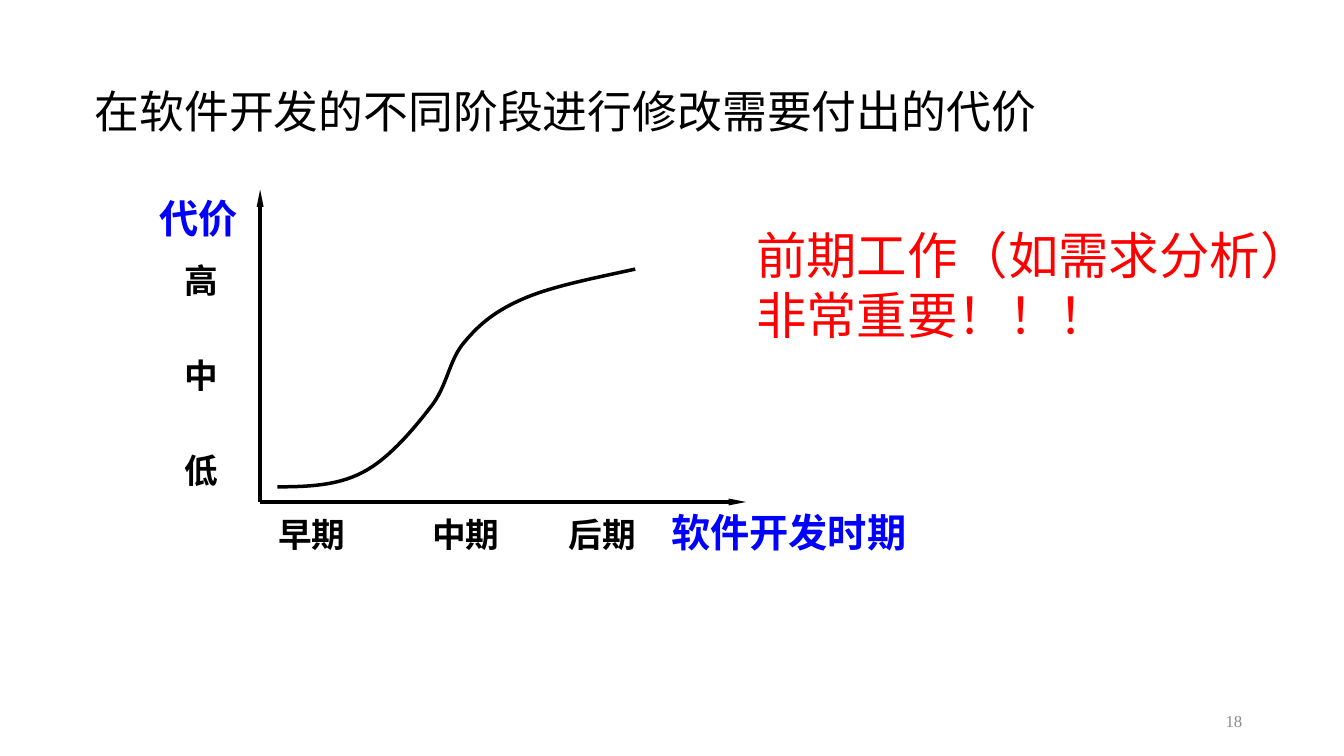
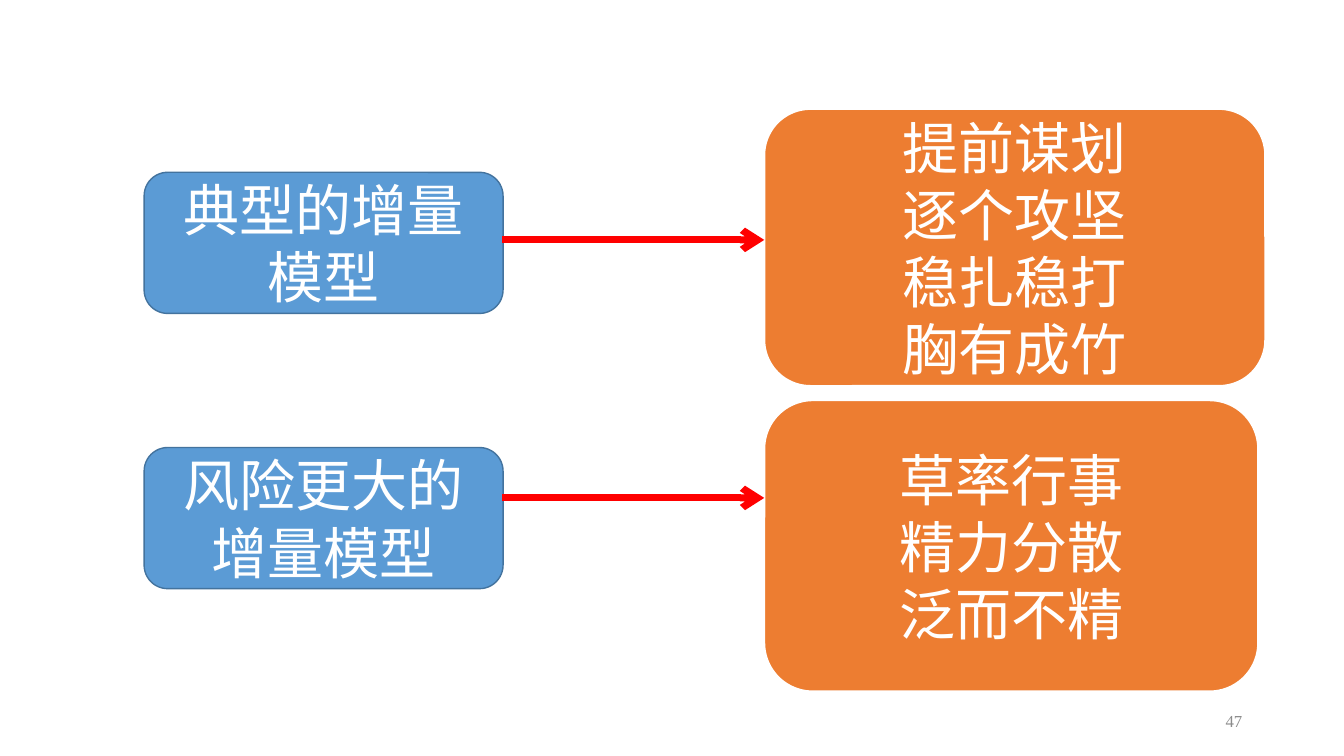
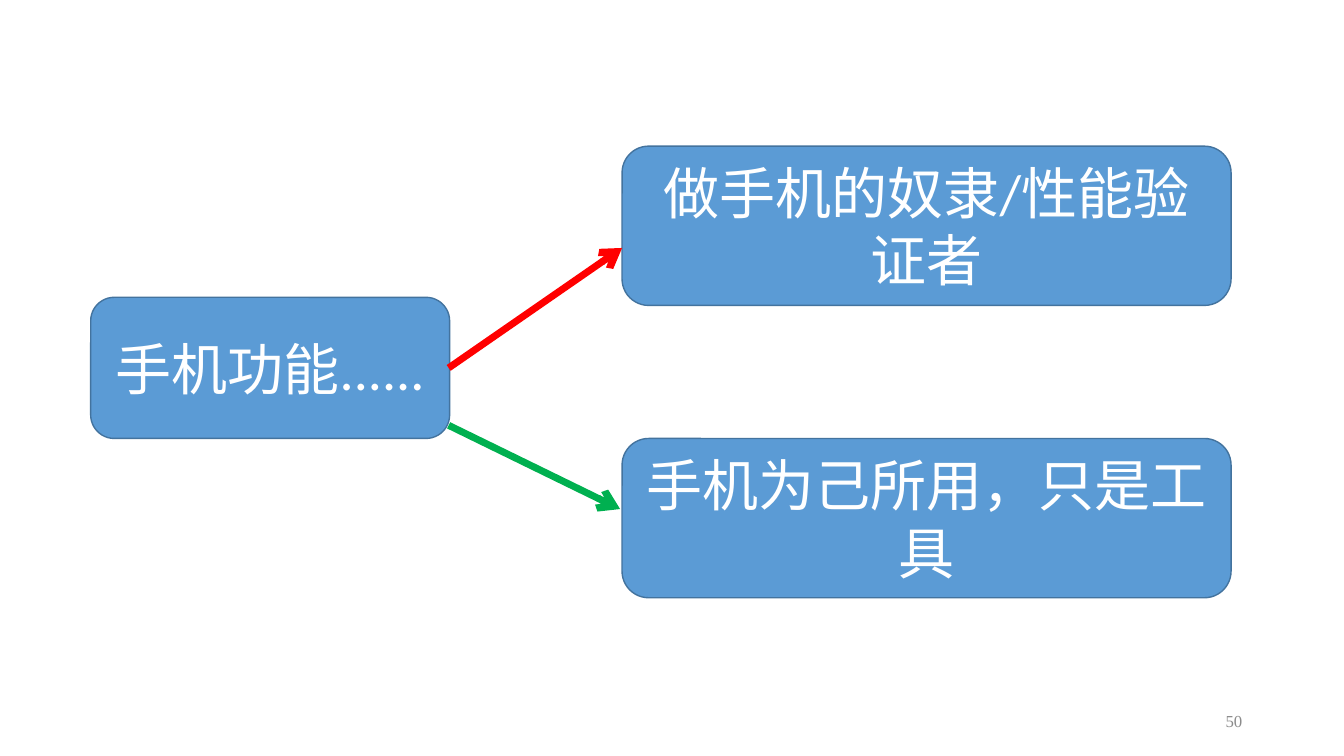
from dataclasses import dataclass

from lxml.etree import SubElement
from pptx import Presentation
from pptx.dml.color import RGBColor
from pptx.enum.shapes import MSO_CONNECTOR, MSO_SHAPE
from pptx.enum.text import MSO_ANCHOR, PP_ALIGN
from pptx.oxml.ns import qn
from pptx.util import Inches, Pt


@dataclass(frozen=True)
class Theme:
    black: str = "000000"
    white: str = "FFFFFF"
    gray: str = "8C8C8C"
    axis_blue: str = "0000FF"
    red: str = "FF0000"
    green: str = "00B050"
    box_blue: str = "5B9BD5"
    box_border: str = "43739E"
    orange: str = "ED7D31"
    serif: str = "Times New Roman"
    sans: str = "Calibri"
    number_size: float = 12
    tick_size: float = 24
    axis_size: float = 28
    title_size: float = 32
    callout_size: float = 36
    box_size: float = 40
    axis_width: float = 2.5
    arrow_width: float = 5


class Deck:
    def __init__(self, theme):
        self.theme = theme
        self.presentation = Presentation()
        self.presentation.slide_width = Inches(13.33)
        self.presentation.slide_height = Inches(7.5)
        self.slide = None

    def new_slide(self, number):
        self.slide = self.presentation.slides.add_slide(self.presentation.slide_layouts[6])
        theme = self.theme
        shape = self.text(str(number), (9.42, 6.95, 3, 0.4), theme.number_size, theme.gray,
                          align=PP_ALIGN.RIGHT)
        shape.text_frame.vertical_anchor = MSO_ANCHOR.MIDDLE

    def fill_text(self, shape, content, size, color, font, bold=False, align=PP_ALIGN.LEFT):
        shape.text_frame.word_wrap = True
        shape.text_frame.text = content
        for paragraph in shape.text_frame.paragraphs:
            paragraph.alignment = align
            for run in paragraph.runs:
                run.font.size = Pt(size)
                run.font.name = font
                run.font.bold = bold
                run.font.color.rgb = RGBColor.from_string(color)

    def text(self, content, area, size, color, font=None, bold=False, align=PP_ALIGN.LEFT):
        shape = self.slide.shapes.add_textbox(*map(Inches, area))
        self.fill_text(shape, content, size, color, font or self.theme.serif, bold, align)
        return shape

    def title(self, content):
        shape = self.text(content, (0.84, 0.84, 10.11, 0.97), self.theme.title_size,
                          self.theme.black)
        shape.text_frame.paragraphs[0].line_spacing = 0.9

    def box(self, content, area, fill, border, border_width=1):
        shape = self.slide.shapes.add_shape(MSO_SHAPE.ROUNDED_RECTANGLE, *map(Inches, area))
        shape.shadow.inherit = False
        shape.fill.solid()
        shape.fill.fore_color.rgb = RGBColor.from_string(fill)
        self.stroke(shape, border, border_width)
        self.fill_text(shape, content, self.theme.box_size, self.theme.white, self.theme.sans,
                       align=PP_ALIGN.CENTER)
        shape.text_frame.vertical_anchor = MSO_ANCHOR.MIDDLE

    def blue_box(self, content, area):
        self.box(content, area, self.theme.box_blue, self.theme.box_border)

    def orange_box(self, content, area):
        self.box(content, area, self.theme.orange, self.theme.white, 1.5)

    def stroke(self, shape, color, width):
        shape.line.color.rgb = RGBColor.from_string(color)
        shape.line.width = Pt(width)

    def line(self, start, end, color, width, **head):
        connector = self.slide.shapes.add_connector(
            MSO_CONNECTOR.STRAIGHT, *map(Inches, start + end))
        self.stroke(connector, color, width)
        properties = connector._element.spPr
        SubElement(properties.get_or_add_ln(), qn("a:tailEnd"), **head)
        SubElement(properties, qn("a:effectLst"))

    def axis(self, start, end):
        self.line(start, end, self.theme.black, self.theme.axis_width,
                  type="triangle", w="sm", len="lg")

    def arrow(self, start, end, color):
        self.line(start, end, color, self.theme.arrow_width, type="arrow")

    def curve(self, points):
        start, *others = [tuple(map(Inches, point)) for point in points]
        builder = self.slide.shapes.build_freeform(*start)
        builder.add_line_segments(others, close=False)
        shape = builder.convert_to_shape()
        shape.shadow.inherit = False
        shape.fill.background()
        self.stroke(shape, self.theme.black, self.theme.axis_width)
        segments = list(shape._element.iter(qn("a:lnTo")))
        outline = segments[0].getparent()
        for index in range(0, len(segments), 3):
            bezier = SubElement(outline, qn("a:cubicBezTo"))
            for segment in segments[index:index + 3]:
                bezier.append(segment[0])
                outline.remove(segment)


def cost_slide(deck):
    theme = deck.theme
    deck.new_slide(18)
    deck.title("在软件开发的不同阶段进行修改需要付出的代价")
    origin = (2.58, 4.98)
    deck.axis(origin, (2.58, 1.88))
    deck.axis(origin, (7.4, 4.98))
    deck.curve([
        (2.75, 4.83),
        (3.04, 4.83), (3.34, 4.82), (3.59, 4.69),
        (3.85, 4.56), (4.1, 4.26), (4.27, 4.04),
        (4.44, 3.83), (4.45, 3.57), (4.61, 3.39),
        (4.76, 3.21), (4.92, 3.08), (5.2, 2.96),
        (5.48, 2.84), (5.89, 2.76), (6.3, 2.67),
    ])
    for index, level in enumerate("高中低"):
        deck.text(level, (1.73, 2.53 + index * 0.94, 0.68, 0.5), theme.tick_size,
                  theme.black, bold=True)
    for period, left in (("早期", 2.66), ("中期", 4.19), ("后期", 5.54)):
        deck.text(period, (left, 5.05, 1.2, 0.5), theme.tick_size, theme.black, bold=True)
    for name, area in (("软件开发时期", (6.56, 4.99, 2.79, 0.57)),
                       ("代价", (1.48, 1.88, 1.1, 0.57))):
        deck.text(name, area, theme.axis_size, theme.axis_blue, bold=True)
    deck.text("前期工作（如需求分析）非常重要！！！", (7.4, 2.17, 5.78, 1.31),
              theme.callout_size, theme.red, theme.sans)


def model_slide(deck):
    deck.new_slide(47)
    rows = (
        ("典型的增量模型", 1.71, 2.38,
         "提前谋划\n逐个攻坚\n稳扎稳打\n胸有成竹", (7.58, 1.08, 4.97, 2.75)),
        ("风险更大的增量模型", 4.44, 4.94,
         "草率行事\n精力分散\n泛而不精", (7.58, 3.97, 4.9, 2.89)),
    )
    for model, top, arrow_top, traits, traits_area in rows:
        deck.blue_box(model, (1.43, top, 3.56, 1.4))
        deck.orange_box(traits, traits_area)
        deck.arrow((4.98, arrow_top), (7.58, arrow_top), deck.theme.red)


def phone_slide(deck):
    deck.new_slide(50)
    deck.blue_box("手机功能......", (0.9, 2.95, 3.56, 1.4))
    outcomes = (
        ("做手机的奴隶/性能验证者", 1.45, (4.45, 3.65), (6.17, 2.46), deck.theme.red),
        ("手机为己所用，只是工具", 4.35, (4.45, 4.22), (6.15, 5.05), deck.theme.green),
    )
    for outcome, top, start, end, color in outcomes:
        deck.blue_box(outcome, (6.17, top, 6.04, 1.58))
        deck.arrow(start, end, color)


def main():
    deck = Deck(Theme())
    cost_slide(deck)
    model_slide(deck)
    phone_slide(deck)
    deck.presentation.save("out.pptx")


if __name__ == "__main__":
    main()
